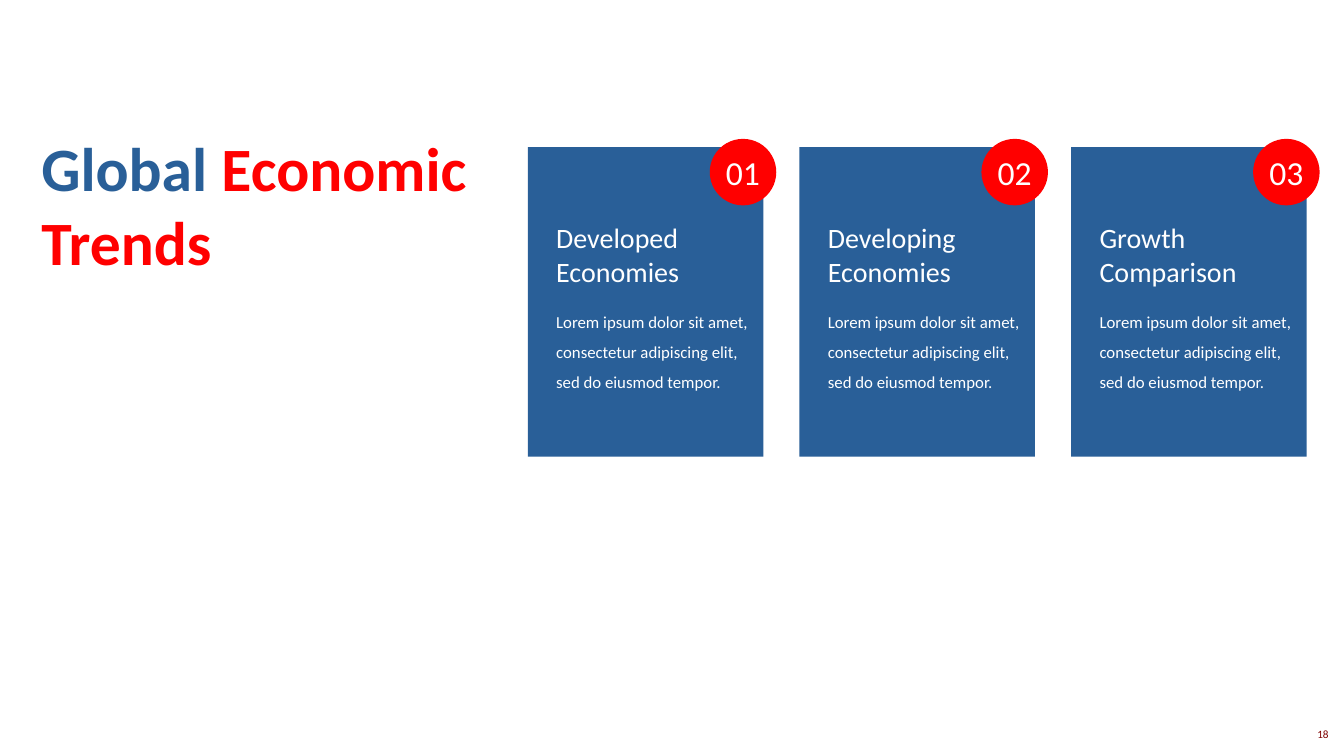
from pptx import Presentation
from pptx.dml.color import RGBColor as Rgb
from pptx.enum.shapes import MSO_SHAPE as Kind
from pptx.enum.text import MSO_ANCHOR as Anchor, MSO_AUTO_SIZE as Fit, PP_ALIGN as Align
from pptx.util import Pt

HUES = {"blue": "295F98", "red": "FF0000", "white": "FFFFFF", "maroon": "800000"}
FONT = "Calibri"
BODY = "Lorem ipsum dolor sit amet, consectetur adipiscing elit, sed do eiusmod tempor."
HEADS = ["Developed Economies", "Developing Economies", "Growth Comparison"]


def hue(name):
    return Rgb.from_string(HUES[name])


def style(run, size, color, bold=False):
    run.font.name = FONT
    run.font.size = Pt(size)
    run.font.bold = bold
    run.font.color.rgb = hue(color)


def write(shape, text, size, color, align=Align.LEFT, space=1.0):
    frame = shape.text_frame
    frame.word_wrap = True
    frame.text = text
    para = frame.paragraphs[0]
    para.alignment = align
    para.line_spacing = space
    style(para.runs[0], size, color)


def label(slide, box, *args, **opts):
    write(slide.shapes.add_textbox(*map(Pt, box)), *args, **opts)


def block(slide, kind, box, color):
    shape = slide.shapes.add_shape(kind, *map(Pt, box))
    shape.shadow.inherit = False
    shape.fill.solid()
    shape.fill.fore_color.rgb = hue(color)
    shape.line.fill.background()
    return shape


def title(slide, box):
    shape = slide.shapes.title
    shape.left, shape.top, shape.width, shape.height = map(Pt, box)
    frame = shape.text_frame
    frame.word_wrap = True
    frame.auto_size = Fit.NONE
    frame.vertical_anchor = Anchor.TOP
    para = frame.paragraphs[0]
    para.alignment = Align.LEFT
    for text, color in (("Global", "blue"), (" Economic Trends", "red")):
        run = para.add_run()
        run.text = text
        style(run, 44, color, True)


def badge(slide, box, text):
    disc = block(slide, Kind.OVAL, box, "red")
    frame = disc.text_frame
    frame.margin_left = frame.margin_right = Pt(0)
    frame.margin_top = frame.margin_bottom = Pt(0)
    frame.vertical_anchor = Anchor.MIDDLE
    write(disc, text, 24, "white", Align.CENTER)


def card(slide, box, num, head):
    left, top, wide, high = box
    inset = 13.2
    block(slide, Kind.RECTANGLE, box, "blue")
    label(slide, (left + inset, top + 106.5, wide - inset, 73), BODY, 12, "white", space=1.5)
    label(slide, (left + inset, top + 49, wide - inset, 55.5), head, 20, "white")
    badge(slide, (left + 130, top - 6, 47.5, 47.5), f"{num:02}")


def cards(slide, box):
    left, top, wide, high = box
    gap = 25.8
    span = (wide - gap * (len(HEADS) - 1)) / len(HEADS)
    for spot, head in enumerate(HEADS):
        card(slide, (left + spot * (span + gap), top, span, high), spot + 1, head)


def main():
    deck = Presentation()
    deck.slide_width, deck.slide_height = Pt(960), Pt(540)
    slide = deck.slides.add_slide(deck.slide_layouts[5])
    title(slide, (22.3, 89.3, 337, 167))
    cards(slide, (377, 105.2, 556.4, 221))
    label(slide, (917.3, 516.2, 38.9, 17.3), "18", 8, "maroon", Align.RIGHT)
    deck.save("out.pptx")


if __name__ == "__main__":
    main()
